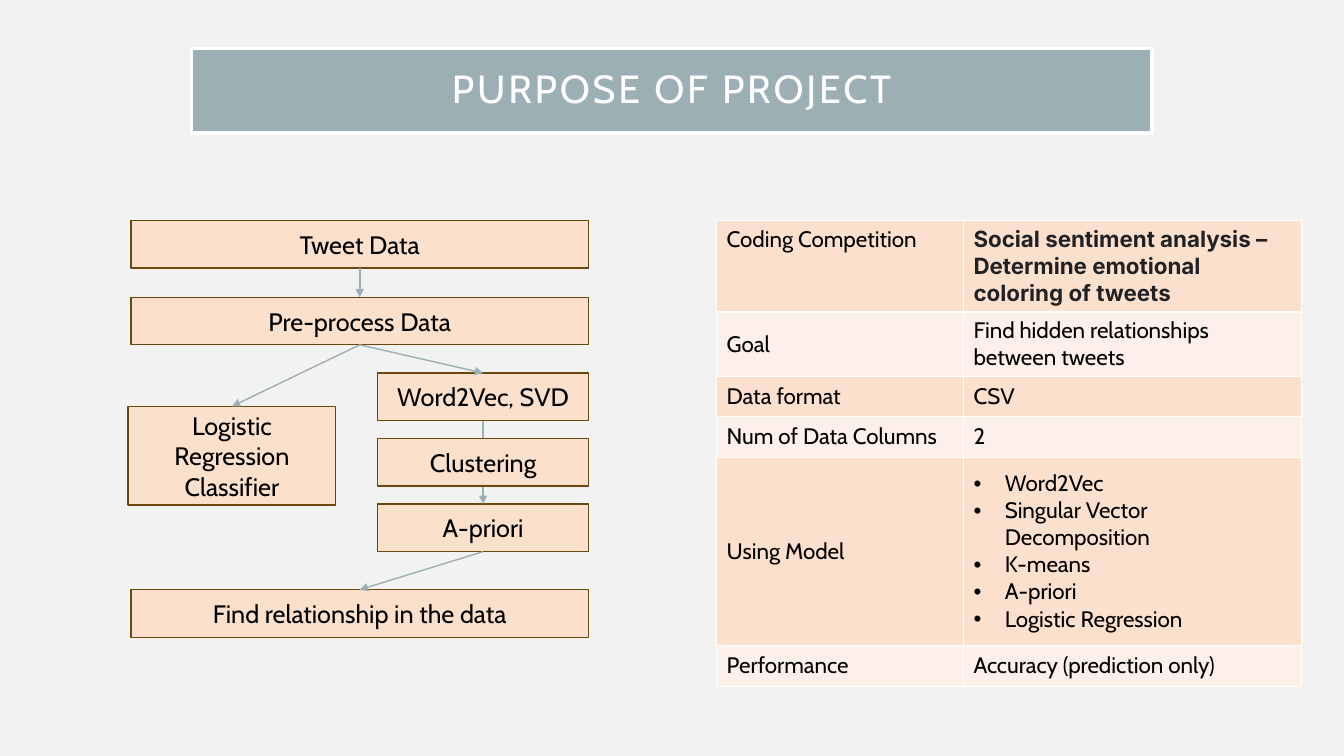
from lxml import etree
from pptx import Presentation
from pptx.dml.color import RGBColor
from pptx.enum.shapes import MSO_CONNECTOR, MSO_SHAPE
from pptx.enum.text import MSO_ANCHOR, PP_ALIGN
from pptx.oxml.ns import qn
from pptx.util import Cm, Pt

RECT = MSO_SHAPE.RECTANGLE
STRAIGHT = MSO_CONNECTOR.STRAIGHT
CENTER = PP_ALIGN.CENTER
LEFT = PP_ALIGN.LEFT
MIDDLE = MSO_ANCHOR.MIDDLE
TOP = MSO_ANCHOR.TOP
BODY_FONT = "Cabin"
SLATE, WHITE, BLACK = "9BAFB5", "FFFFFF", "000000"
PEACH, BROWN = "FBE0CC", "6C470D"
BANDS = ("FBE0CD", "FDF0E8")

ROWS = [
    ("Coding Competition", ["Social sentiment analysis – Determine emotional coloring of tweets"], 1.78),
    ("Goal", ["Find hidden relationships between tweets"], 1.02),
    ("Data format", ["CSV"], 1.02),
    ("Num of Data Columns", ["2"], 1.02),
    ("Using Model", ["Word2Vec", "Singular Vector Decomposition", "K-means", "A-priori",
                     "Logistic Regression"], 4.75),
    ("Performance", ["Accuracy (prediction only)"], 1.02),
]


def color(value):
    """Return the colour for a hex string."""
    return RGBColor.from_string(value)


def style(p, size, ink=BLACK, font=BODY_FONT, bold=False, align=LEFT):
    """Format a paragraph and its runs."""
    p.alignment = align
    for r in p.runs:
        r.font.name = font
        r.font.size = Pt(size)
        r.font.bold = bold
        r.font.color.rgb = color(ink)


def add_box(s, text, left, top, width, height, fill=PEACH, line=BROWN, weight=1, size=18, ink=BLACK):
    """Add a filled rectangle with centred text, measured in centimetres."""
    sp = s.shapes.add_shape(RECT, Cm(left), Cm(top), Cm(width), Cm(height))
    sp.shadow.inherit = False
    sp.fill.solid()
    sp.fill.fore_color.rgb = color(fill)
    sp.line.color.rgb = color(line)
    sp.line.width = Pt(weight)
    tf = sp.text_frame
    tf.word_wrap = True
    tf.vertical_anchor = MIDDLE
    tf.text = text
    style(tf.paragraphs[0], size, ink, align=CENTER)
    return sp


def add_arrow(s, start, end, weight=1):
    """Join the bottom of one box to the top of another with an arrow."""
    c = s.shapes.add_connector(STRAIGHT, 0, 0, 0, 0)
    c.begin_connect(start, 2)
    c.end_connect(end, 0)
    c.line.color.rgb = color(SLATE)
    c.line.width = Pt(weight)
    etree.SubElement(c.line._get_or_add_ln(), qn("a:tailEnd"), type="triangle")
    etree.SubElement(c._element.spPr, qn("a:effectLst"))


def add_title(s, left, top, width, height):
    """Add the framed title banner."""
    sp = add_box(s, "PURPOSE OF PROJECT", left, top, width, height, SLATE, WHITE, 2.5, 28, WHITE)
    p = sp.text_frame.paragraphs[0]
    p.line_spacing = 0.9
    p.runs[0].font._element.set("spc", "200")


def add_flow(s, left, top, width):
    """Add the flowchart from raw data to found relationships."""
    height, branch_width, step = 1.2, 5.31, 1.65
    branch_left, branch_top = left + width - branch_width, top + 3.84
    tweets = add_box(s, "Tweet Data", left, top, width, height)
    clean = add_box(s, "Pre-process Data", left, top + 1.93, width, height)
    classifier = add_box(s, "Logistic Regression Classifier", left - 0.07, top + 4.68, 5.23, 2.49)
    vectors, rules = [add_box(s, text, branch_left, branch_top + i * step, branch_width, height)
                      for i, text in ((0, "Word2Vec, SVD"), (2, "A-priori"))]
    add_arrow(s, vectors, rules)
    add_box(s, "Clustering", branch_left, branch_top + step, branch_width, height)
    result = add_box(s, "Find relationship in the data", left, top + 9.3, width, height)
    add_arrow(s, tweets, clean, 1.25)
    for start, end in ((clean, vectors), (clean, classifier), (rules, result)):
        add_arrow(s, start, end)


def add_bullet(p):
    """Give a paragraph a hanging bullet."""
    pPr = p._p.get_or_add_pPr()
    pPr.set("marL", str(Cm(0.79)))
    pPr.set("indent", str(-Cm(0.79)))
    etree.SubElement(pPr, qn("a:buFont"), typeface="Arial")
    etree.SubElement(pPr, qn("a:buChar"), char="•")


def add_borders(cell):
    """Draw thin white lines around a cell."""
    tcPr = cell._tc.get_or_add_tcPr()
    for i, side in enumerate(("lnL", "lnR", "lnT", "lnB")):
        ln = etree.Element(qn(f"a:{side}"), w=str(Pt(1)))
        fill = etree.SubElement(ln, qn("a:solidFill"))
        etree.SubElement(fill, qn("a:srgbClr"), val=WHITE)
        tcPr.insert(i, ln)


def fill_cell(cell, lines, band, heading=False, anchor=MIDDLE):
    """Write one table cell, with bullets when it holds several lines."""
    cell.fill.solid()
    cell.fill.fore_color.rgb = color(band)
    cell.vertical_anchor = anchor
    add_borders(cell)
    cell.text_frame.text = "\n".join(lines)
    for p in cell.text_frame.paragraphs:
        if len(lines) > 1:
            add_bullet(p)
        if heading:
            style(p, 16, "202124", "Inter", True)
        else:
            style(p, 16)


def add_summary(s, left, top, widths):
    """Add the two-column project summary table."""
    height = sum(row[2] for row in ROWS)
    table = s.shapes.add_table(len(ROWS), 2, Cm(left), Cm(top), Cm(sum(widths)), Cm(height)).table
    table.first_row = table.horz_banding = False
    for column, width in zip(table.columns, widths):
        column.width = Cm(width)
    for i, (label, lines, row_height) in enumerate(ROWS):
        table.rows[i].height = Cm(row_height)
        anchor = MIDDLE if i else TOP
        fill_cell(table.cell(i, 0), [label], BANDS[i % 2], anchor=anchor)
        fill_cell(table.cell(i, 1), lines, BANDS[i % 2], i == 0, anchor)


def main():
    """Build and save the slide."""
    prs = Presentation()
    prs.slide_width, prs.slide_height = Cm(33.87), Cm(19.05)
    s = prs.slides.add_slide(prs.slide_layouts[6])
    s.background.fill.solid()
    s.background.fill.fore_color.rgb = color("F2F2F2")
    add_title(s, 4.83, 1.22, 24.2, 2.13)
    add_summary(s, 18.06, 5.56, (6.22, 8.51))
    add_flow(s, 3.3, 5.56, 11.53)
    prs.save("out.pptx")


if __name__ == "__main__":
    main()
